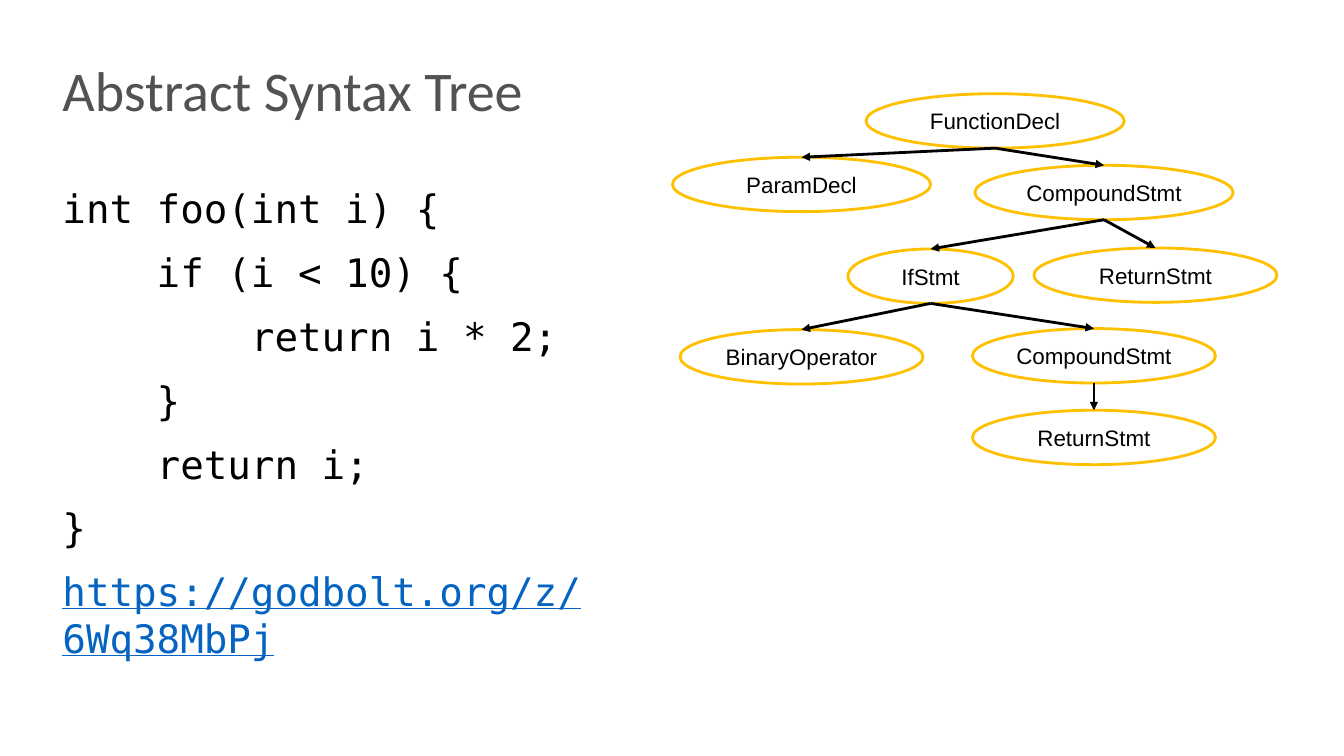
from lxml.etree import SubElement
from pptx import Presentation
from pptx.dml.color import RGBColor
from pptx.enum.shapes import MSO_CONNECTOR as Connector, MSO_SHAPE as Shape
from pptx.enum.text import MSO_ANCHOR as Anchor, PP_ALIGN as Align
from pptx.oxml.ns import qn
from pptx.util import Inches, Pt

# Content
TITLE = "Abstract Syntax Tree"
CODE = [
    "int foo(int i) {",
    "    if (i < 10) {",
    "        return i * 2;",
    "    }",
    "    return i;",
    "}",
]
URL = "https://godbolt.org/z/6Wq38MbPj"

# Tree nodes: key -> (label, centre x, top, width)
NODES = {
    "function": ("FunctionDecl", 9.87, 0.93, 2.56),
    "param": ("ParamDecl", 7.95, 1.56, 2.56),
    "body": ("CompoundStmt", 10.95, 1.64, 2.56),
    "if": ("IfStmt", 9.23, 2.47, 1.64),
    "condition": ("BinaryOperator", 7.95, 3.27, 2.41),
    "then": ("CompoundStmt", 10.85, 3.26, 2.41),
    "then return": ("ReturnStmt", 10.85, 4.07, 2.41),
    "last return": ("ReturnStmt", 11.46, 2.46, 2.41),
}
CHILDREN = {
    "function": ["param", "body"],
    "body": ["if", "last return"],
    "if": ["condition", "then"],
    "then": ["then return"],
}
NODE_HEIGHT = 0.54

THEME = {
    "title": {"name": "Calibri", "size": Pt(40), "color": "525252"},
    "code": {"name": "DejaVu Sans Mono", "size": Pt(28), "color": "000000"},
    "url": {"name": "DejaVu Sans Mono", "size": Pt(28), "color": "0563C1", "underline": True},
    "node": {"name": "Arial", "size": Pt(16), "color": "000000"},
    "node fill": "FFFFFF",
    "node line": "FFC000",
    "arrow": "000000",
    "line width": Pt(2),
}


def rgb(key):
    return RGBColor.from_string(THEME[key])


def write(paragraph, text, style):
    run = paragraph.add_run()
    run.text = text
    for attribute, value in THEME[style].items():
        if attribute == "color":
            run.font.color.rgb = RGBColor.from_string(value)
        else:
            setattr(run.font, attribute, value)


def set_frame(frame, inset, anchor):
    sides = ("margin_left", "margin_top", "margin_right", "margin_bottom")
    settings = dict.fromkeys(sides, Inches(inset))
    settings.update(word_wrap=True, vertical_anchor=anchor)
    for attribute, value in settings.items():
        setattr(frame, attribute, value)


def add_text(slide, box, lines, line_spacing=None):
    frame = slide.shapes.add_textbox(*map(Inches, box)).text_frame
    set_frame(frame, 0, Anchor.TOP)
    for index, (text, style) in enumerate(lines):
        paragraph = frame.add_paragraph() if index else frame.paragraphs[0]
        if index:
            paragraph.space_before = Pt(12)
        if line_spacing:
            paragraph.line_spacing = line_spacing
        write(paragraph, text, style)


def add_node(slide, label, center, top, width):
    box = (center - width / 2, top, width, NODE_HEIGHT)
    node = slide.shapes.add_shape(Shape.OVAL, *map(Inches, box))
    node.shadow.inherit = False
    node.fill.solid()
    node.fill.fore_color.rgb = rgb("node fill")
    node.line.color.rgb = rgb("node line")
    node.line.width = THEME["line width"]
    set_frame(node.text_frame, 0.06, Anchor.MIDDLE)
    paragraph = node.text_frame.paragraphs[0]
    paragraph.alignment = Align.CENTER
    write(paragraph, label, "node")


def add_arrow(slide, parent, child):
    _, start_x, parent_top, _ = NODES[parent]
    _, end_x, end_y, _ = NODES[child]
    ends = (start_x, parent_top + NODE_HEIGHT, end_x, end_y)
    arrow = slide.shapes.add_connector(Connector.STRAIGHT, *map(Inches, ends))
    arrow.line.color.rgb = rgb("arrow")
    arrow.line.width = THEME["line width"]
    SubElement(arrow.line._get_or_add_ln(), qn("a:tailEnd"), type="triangle")
    SubElement(arrow._element.spPr, qn("a:effectLst"))


def main():
    prs = Presentation()
    prs.slide_width, prs.slide_height = Inches(13.33), Inches(7.5)
    slide = prs.slides.add_slide(prs.slide_layouts[6])

    # Title and source code
    add_text(slide, (0.62, 0.63, 12.04, 1.04), [(TITLE, "title")], 0.9)
    code_lines = [(line, "code") for line in CODE] + [(URL, "url")]
    add_text(slide, (0.62, 1.83, 7.14, 5.01), code_lines)

    # Syntax tree
    for node in NODES.values():
        add_node(slide, *node)
    for parent, children in CHILDREN.items():
        for child in children:
            add_arrow(slide, parent, child)

    prs.save("out.pptx")


if __name__ == "__main__":
    main()
